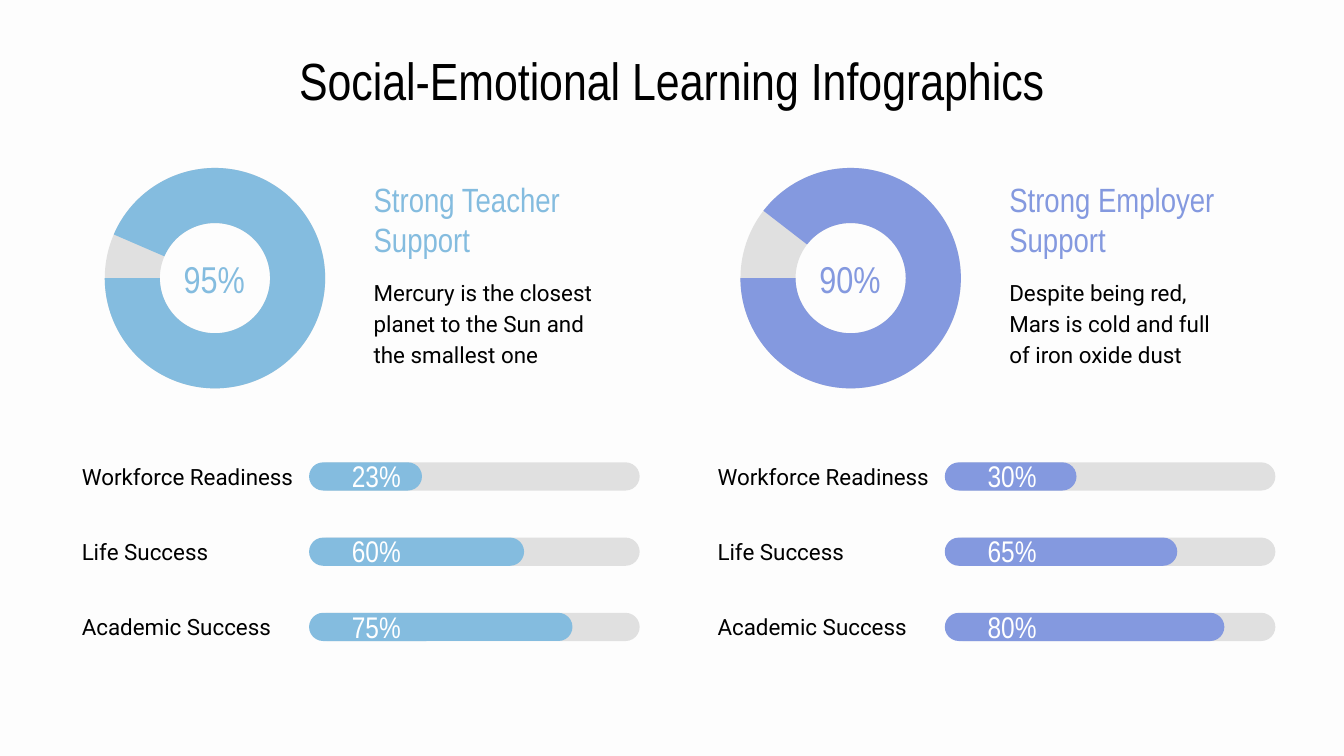
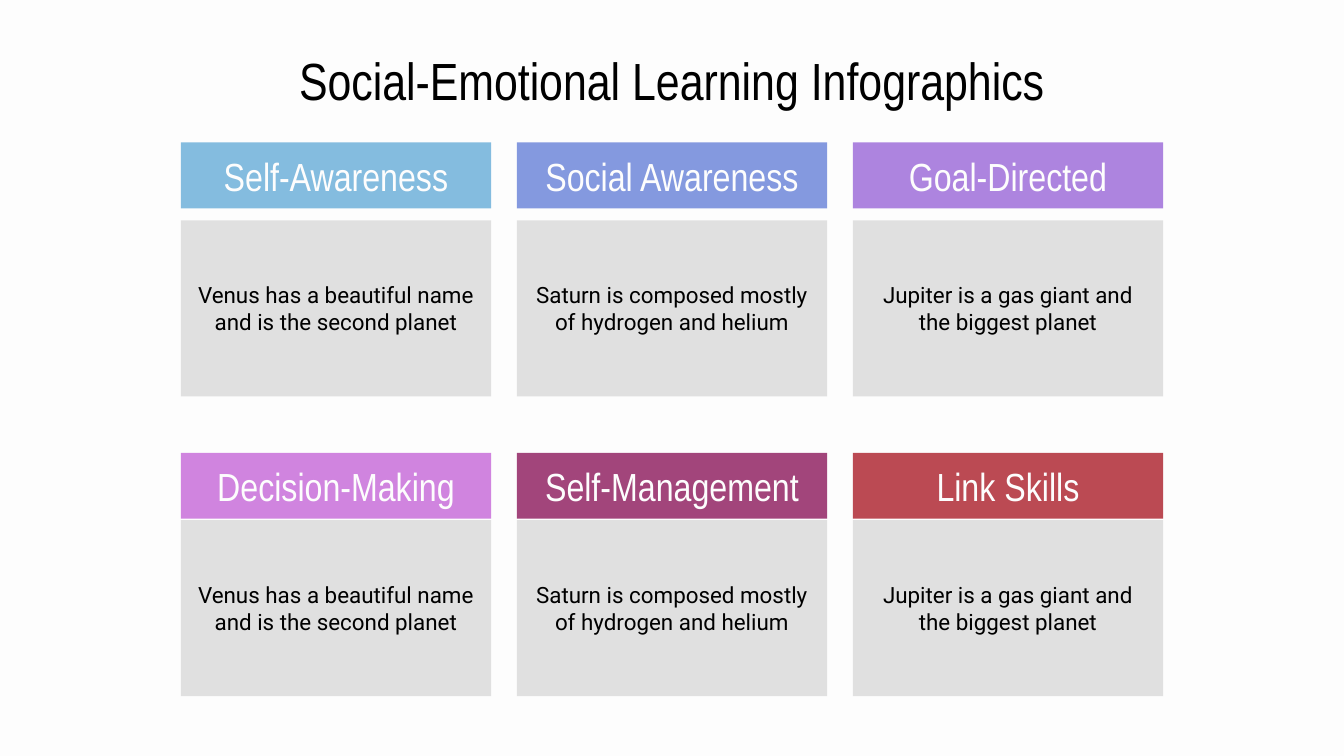
import pptx
import pptx.dml.color
import pptx.enum.shapes
import pptx.enum.text
import pptx.util

RGBColor = pptx.dml.color.RGBColor
Inches = pptx.util.Inches
Shapes = pptx.enum.shapes.MSO_SHAPE
Align = pptx.enum.text.PP_ALIGN

SLIDE_WIDTH = 10
SLIDE_HEIGHT = SLIDE_WIDTH * 9 / 16
BACKGROUND = RGBColor(0xFD, 0xFD, 0xFD)
BLACK = RGBColor(0x00, 0x00, 0x00)
WHITE = RGBColor(0xFF, 0xFF, 0xFF)
GRAY = RGBColor(0xE0, 0xE0, 0xE0)
SKY = RGBColor(0x84, 0xBC, 0xDF)
PERIWINKLE = RGBColor(0x84, 0x99, 0xDF)
LAVENDER = RGBColor(0xAD, 0x84, 0xDF)
ORCHID = RGBColor(0xD0, 0x84, 0xDF)
PLUM = RGBColor(0xA2, 0x45, 0x7B)
BRICK = RGBColor(0xBB, 0x4A, 0x53)

HEADING_FONT, BODY_FONT = "Arial Narrow", "Roboto"
TITLE = "Social-Emotional Learning Infographics"

# Support slide: two panels side by side, each with three rows of bars
PANEL_PITCH = 4.73
BAR_LEFT, BAR_TOP, BAR_PITCH, BAR_HEIGHT = 0.51, 3.44, 0.56, 0.21
BAR_LABELS = ("Workforce Readiness", "Life Success", "Academic Success")
# Heading, text, colour, ring value, ring gap in degrees,
# bars as (value, filled width)
PANELS = (
    ("Strong Teacher Support",
     "Mercury is the closest planet to the Sun and the smallest one",
     SKY, "95%", 23.35, (("23%", 0.84), ("60%", 1.6), ("75%", 1.96))),
    ("Strong Employer Support",
     "Despite being red, Mars is cold and full of iron oxide dust",
     PERIWINKLE, "90%", 37.69, (("30%", 0.98), ("65%", 1.73), ("80%", 2.08))),
)

# Skills slide: cards in three centred columns and two rows
CARD_PITCH, CARD_WIDTH = 2.5, 2.31
CARD_LEFT = (SLIDE_WIDTH - 2 * CARD_PITCH - CARD_WIDTH) / 2
HEADER_HEIGHT, CARD_HEIGHT = 0.49, 1.31
CARD_TEXTS = (
    "Venus has a beautiful name and is the second planet",
    "Saturn is composed mostly of hydrogen and helium",
    "Jupiter is a gas giant and the biggest planet",
)
# Top of the row, gap below its headers, headers with their colours
CARD_ROWS = (
    (1.06, 0.09, (("Self-Awareness", SKY), ("Social Awareness", PERIWINKLE),
                  ("Goal-Directed", LAVENDER))),
    (3.37, 0.01, (("Decision-Making", ORCHID), ("Self-Management", PLUM),
                  ("Link Skills", BRICK))),
)


def write_text(shape, text, size, color, font=HEADING_FONT,
               align=Align.LEFT, insets=(0.1, 0.1), line_spacing=None):
    """Fill a shape with one paragraph; insets are (horizontal, vertical)."""
    frame = shape.text_frame
    frame.word_wrap = True
    frame.vertical_anchor = pptx.enum.text.MSO_ANCHOR.MIDDLE
    frame.margin_left = frame.margin_right = Inches(insets[0])
    frame.margin_top = frame.margin_bottom = Inches(insets[1])
    frame.text = text
    paragraph = frame.paragraphs[0]
    paragraph.alignment = align
    if line_spacing:
        paragraph.line_spacing = line_spacing
    run_font = paragraph.runs[0].font
    run_font.name = font
    run_font.size = pptx.util.Pt(size)
    run_font.color.rgb = color


def add_text(slide, box, text, size, color, **style):
    shape = slide.shapes.add_textbox(*map(Inches, box))
    write_text(shape, text, size, color, **style)


def add_filled_shape(slide, kind, box, color):
    shape = slide.shapes.add_shape(kind, *map(Inches, box))
    shape.shadow.inherit = False
    shape.fill.solid()
    shape.fill.fore_color.rgb = color
    shape.line.fill.background()
    return shape


def add_arc(slide, box, gap, color):
    """Draw a ring that is open for gap degrees, clockwise from nine o'clock."""
    arc = add_filled_shape(slide, Shapes.BLOCK_ARC, box, color)
    units_per_degree = 0.6
    arc.adjustments[0] = (180 + gap) * units_per_degree
    arc.adjustments[1] = 179.98 * units_per_degree
    arc.adjustments[2] = 0.25


def add_pill(slide, left, top, width, color):
    pill = add_filled_shape(slide, Shapes.ROUNDED_RECTANGLE,
                            (left, top, width, BAR_HEIGHT), color)
    pill.adjustments[0] = 0.5


def add_bar(slide, left, top, label, value, filled_width, color):
    add_text(slide, (left, top, 1.78, BAR_HEIGHT), label, 12, BLACK,
             font=BODY_FONT)
    add_pill(slide, left + 1.82, top, 2.43, GRAY)
    add_pill(slide, left + 1.79, top, filled_width, color)
    add_text(slide, (left + 2.01, top + 0.01, 0.88, 0.18), value, 16, WHITE)


def add_panel(slide, offset, heading, text, color, ring_value, gap, bars):
    ring = (offset + 0.78, 1.25, 1.64, 1.64)
    add_arc(slide, ring, 0, GRAY)
    add_arc(slide, ring, gap, color)
    add_text(slide, (offset + 1.13, 1.88, 0.93, 0.38), ring_value, 20, color,
             align=Align.CENTER)
    add_text(slide, (offset + 2.58, 1.36, 2.08, 0.54), heading, 18, color,
             insets=(0.2, 0))
    add_text(slide, (offset + 2.58, 1.98, 2.08, 0.82), text, 12, BLACK,
             font=BODY_FONT, insets=(0.2, 0), line_spacing=1.15)
    for row, (label, (value, width)) in enumerate(zip(BAR_LABELS, bars)):
        add_bar(slide, offset + BAR_LEFT, BAR_TOP + row * BAR_PITCH,
                label, value, width, color)


def add_card(slide, left, top, gap, header, color, text):
    body = add_filled_shape(
        slide, Shapes.RECTANGLE,
        (left, top + HEADER_HEIGHT + gap, CARD_WIDTH, CARD_HEIGHT), GRAY)
    write_text(body, text, 12, BLACK, font=BODY_FONT, align=Align.CENTER,
               insets=(0.1, 0.05))
    band = add_filled_shape(slide, Shapes.RECTANGLE,
                            (left, top, CARD_WIDTH, HEADER_HEIGHT), color)
    write_text(band, header, 21, BACKGROUND, align=Align.CENTER,
               insets=(0.1, 0.05))


def add_titled_slide(presentation):
    slide = presentation.slides.add_slide(presentation.slide_layouts[6])
    slide.background.fill.solid()
    slide.background.fill.fore_color.rgb = BACKGROUND
    add_text(slide, (0.49, 0.45, 9.01, 0.29), TITLE, 28, BLACK,
             align=Align.CENTER)
    return slide


def build_support_slide(presentation):
    slide = add_titled_slide(presentation)
    for column, panel in enumerate(PANELS):
        add_panel(slide, column * PANEL_PITCH, *panel)


def build_skills_slide(presentation):
    slide = add_titled_slide(presentation)
    for top, gap, headers in CARD_ROWS:
        for column, (header, color) in enumerate(headers):
            add_card(slide, CARD_LEFT + column * CARD_PITCH, top, gap,
                     header, color, CARD_TEXTS[column])


def main():
    presentation = pptx.Presentation()
    presentation.slide_width = Inches(SLIDE_WIDTH)
    presentation.slide_height = Inches(SLIDE_HEIGHT)
    build_support_slide(presentation)
    build_skills_slide(presentation)
    presentation.save("out.pptx")


if __name__ == "__main__":
    main()
